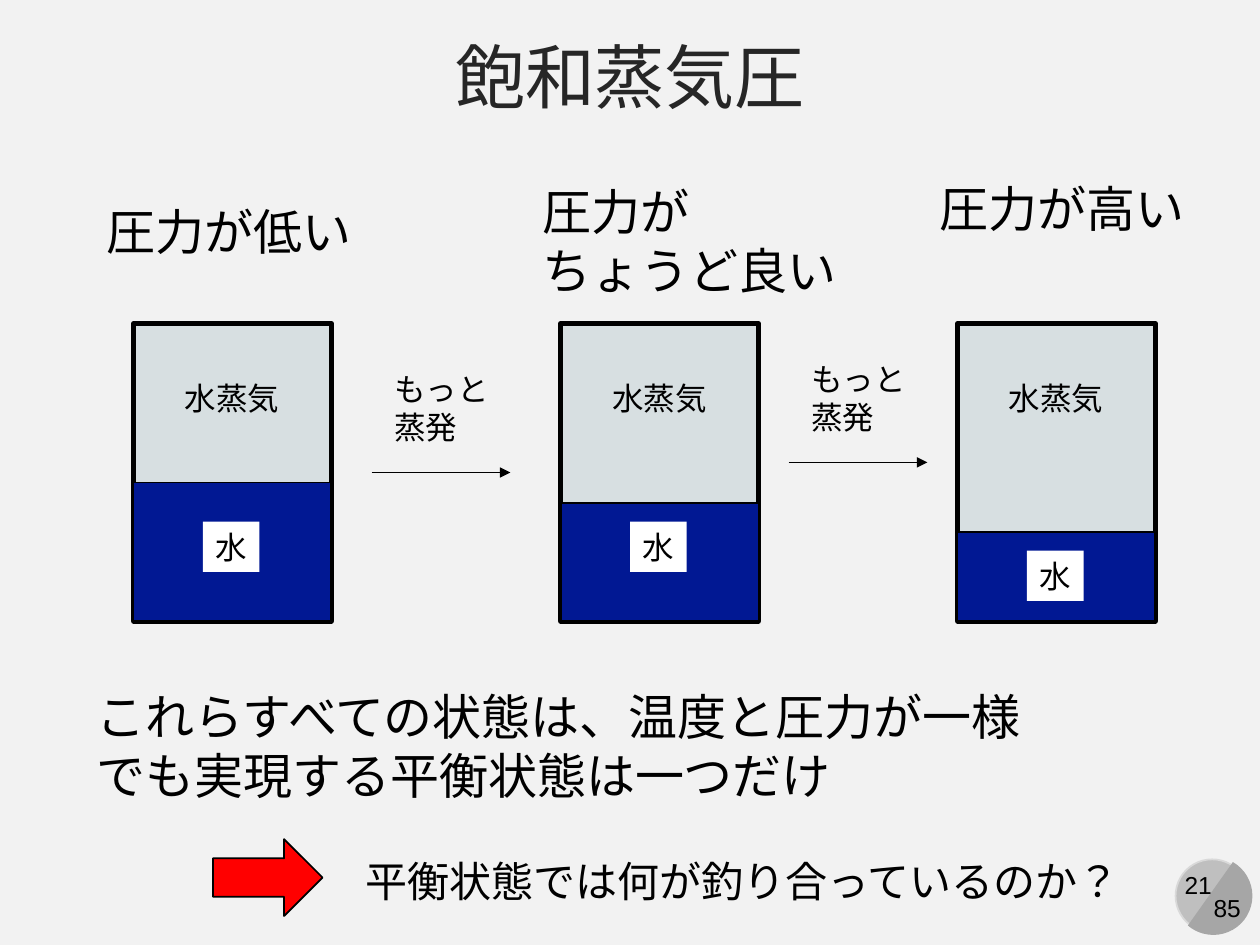
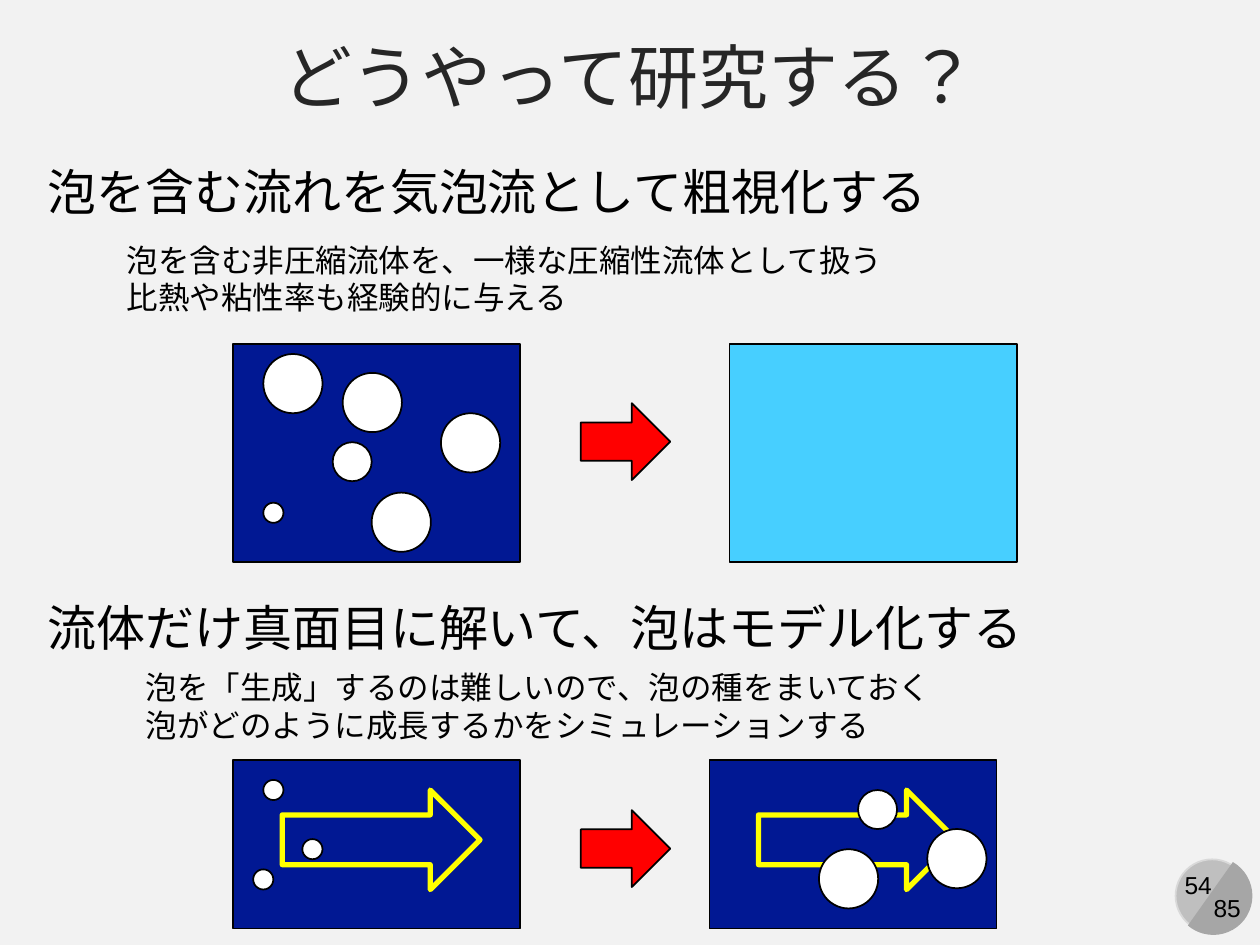
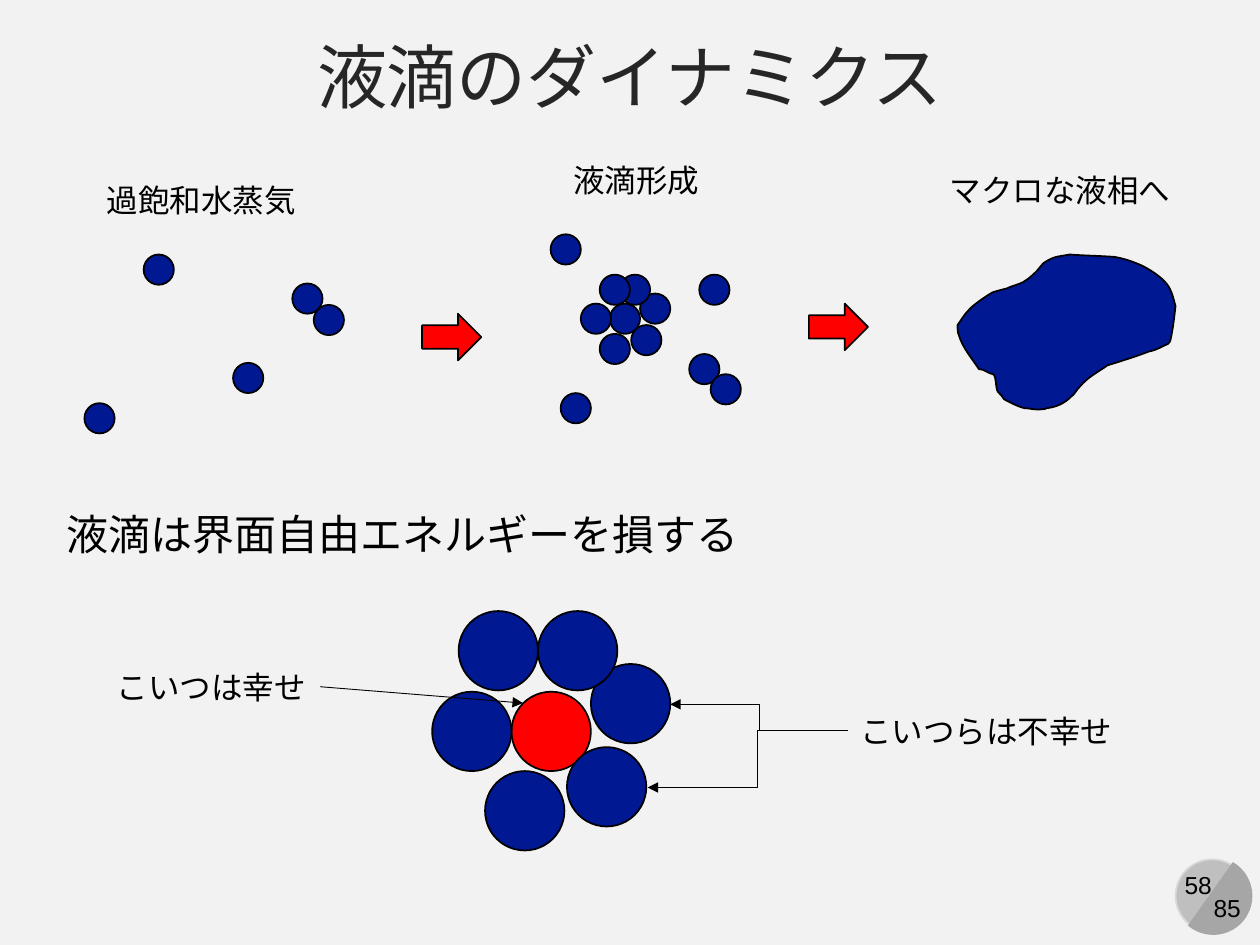
from lxml import etree
from pptx import Presentation
from pptx.dml.color import RGBColor
from pptx.enum.lang import MSO_LANGUAGE_ID
from pptx.enum.shapes import MSO_CONNECTOR, MSO_SHAPE
from pptx.enum.text import MSO_ANCHOR, MSO_AUTO_SIZE, PP_ALIGN
from pptx.oxml.ns import qn
from pptx.util import Inches, Pt

RECTANGLE = MSO_SHAPE.RECTANGLE
OVAL = MSO_SHAPE.OVAL
CHORD = MSO_SHAPE.CHORD
RIGHT_ARROW = MSO_SHAPE.RIGHT_ARROW
STRAIGHT = MSO_CONNECTOR.STRAIGHT
ELBOW = MSO_CONNECTOR.ELBOW
CENTER = PP_ALIGN.CENTER
MIDDLE = MSO_ANCHOR.MIDDLE
NO_FIT = MSO_AUTO_SIZE.NONE
FIT_SHAPE = MSO_AUTO_SIZE.SHAPE_TO_FIT_TEXT
JAPANESE = MSO_LANGUAGE_ID.JAPANESE

FONT = "Arial"
COLORS = {
    "background": "F2F2F2", "title": "262626", "black": "000000", "white": "FFFFFF",
    "water": "011893", "vapor": "D7DFE1", "mixture": "47CFFF", "red": "FF0000",
    "yellow": "FFFF00", "badge": "BFBFBF", "badge_edge": "D9D9D9", "badge_half": "A6A6A6",
}
TITLE_LAYOUT = 5
LAST_PAGE = "85"
LARGE, MEDIUM, SMALL, PAGE_SIZE = 28, 24, 18, 14

# Saturated vapor pressure: texts are (text, box, size)
PRESSURE_TITLE, PRESSURE_PAGE = "飽和蒸気圧", "21"
PRESSURE_TEXTS = [
    ("圧力が低い", (0.75, 1.55, 2.17, 0.57), LARGE),
    ("圧力が\nちょうど良い", (4.21, 1.39, 2.56, 1.04), LARGE),
    ("圧力が高い", (7.36, 1.37, 2.17, 0.57), LARGE),
    ("これらすべての状態は、温度と圧力が一様\nでも実現する平衡状態は一つだけ",
     (0.67, 5.4, 7.66, 1.04), LARGE),
    ("平衡状態では何が釣り合っているのか？", (2.8, 6.74, 6.26, 0.5), MEDIUM),
]
VESSEL_TOP, VESSEL_WIDTH, VESSEL_HEIGHT = 2.57, 1.57, 2.36
VESSELS = [(1.06, 3.83, 4.14), (4.45, 3.99, 4.14), (7.6, 4.22, 4.37)]  # left, surface, tag top
EVAPORATIONS = [(2.95, 3.75), (6.26, 3.67)]  # start of each arrow
EVAPORATION_LENGTH = 1.1
CONCLUSION_ARROW = (1.69, 6.66, 0.87, 0.61)

# How to study bubbles: bubbles are (left, top, diameter)
METHOD_TITLE, METHOD_PAGE = "どうやって研究する？", "54"
METHOD_TEXTS = [
    ("泡を含む流れを気泡流として粗視化する", (0.28, 1.23, 7.27, 0.57), LARGE),
    ("泡を含む非圧縮流体を、一様な圧縮性流体として扱う\n比熱や粘性率も経験的に与える",
     (0.91, 1.86, 6.26, 0.71), SMALL),
    ("流体だけ真面目に解いて、泡はモデル化する", (0.28, 4.69, 8.06, 0.57), LARGE),
    ("泡を「生成」するのは難しいので、泡の種をまいておく\n"
     "泡がどのように成長するかをシミュレーションする", (1.06, 5.25, 6.51, 0.71), SMALL),
]
TANKS = [
    ((1.85, 2.73, 2.28, 1.73), "water"), ((5.79, 2.73, 2.28, 1.73), "mixture"),
    ((1.85, 6.03, 2.28, 1.34), "water"), ((5.63, 6.03, 2.28, 1.34), "water"),
]
STEP_ARROWS = [(4.61, 3.2, 0.71, 0.61), (4.61, 6.43, 0.71, 0.61)]
FLOW_ARROWS = [(2.24, 6.27, 1.57, 0.79), (6.02, 6.27, 1.57, 0.79)]
SEED, GROWING, GROWN = 0.16, 0.31, 0.47
BUBBLES = [
    (2.09, 2.81, GROWN), (2.72, 2.96, GROWN), (2.64, 3.51, GROWING),
    (2.09, 3.99, SEED), (2.95, 3.91, GROWN), (3.5, 3.28, GROWN),
    (2.09, 6.19, SEED), (2.01, 6.9, SEED), (2.4, 6.66, SEED),
    (6.81, 6.27, GROWING), (6.5, 6.74, GROWN), (7.36, 6.58, GROWN),
]

# Droplet dynamics
DROPLET_TITLE, DROPLET_PAGE = "液滴のダイナミクス", "58"
DROPLET_TEXTS = [
    ("過飽和水蒸気", (0.75, 1.39, 1.72, 0.4), SMALL),
    ("液滴形成", (4.45, 1.23, 1.21, 0.4), SMALL),
    ("マクロな液相へ", (7.44, 1.31, 1.97, 0.4), SMALL),
    ("液滴は界面自由エネルギーを損する", (0.43, 3.99, 5.59, 0.5), MEDIUM),
    ("こいつは幸せ", (0.83, 5.25, 1.72, 0.4), SMALL),
    ("こいつらは不幸せ", (6.73, 5.6, 2.22, 0.4), SMALL),
]
MOLECULE, LARGE_MOLECULE = 0.24, 0.63
MOLECULES = [
    (1.14, 2.02), (0.67, 3.2), (1.85, 2.88), (2.32, 2.25), (2.49, 2.42),
    (4.84, 2.41), (5.01, 2.58), (4.76, 2.65), (5.08, 2.33), (4.92, 2.18),
    (4.76, 2.18), (4.61, 2.41), (5.55, 2.18), (5.47, 2.81), (5.64, 2.97),
    (4.37, 1.86), (4.45, 3.12),
]
GROWTH_ARROWS = [(3.35, 2.49, 0.47, 0.37), (6.42, 2.41, 0.47, 0.37)]
HAPPY_MOLECULE = (4.06, 5.49)
UNHAPPY_MOLECULES = [(4.5, 5.93), (3.85, 6.12), (4.69, 5.27),
                     (4.27, 4.85), (3.64, 4.85), (3.43, 5.49)]
UNHAPPY_LABEL_EDGE = (6.73, 5.8)
LIQUID_START = (7.77, 2.93)
LIQUID_CURVES = [  # two control points and the end of each curve
    (7.71, 2.84, 7.64, 2.76, 7.61, 2.66), (7.6, 2.64, 7.6, 2.61, 7.6, 2.58),
    (7.63, 2.54, 7.65, 2.5, 7.69, 2.46), (7.71, 2.43, 7.84, 2.34, 7.88, 2.32),
    (7.91, 2.31, 7.95, 2.3, 7.99, 2.29), (8.03, 2.27, 8.08, 2.26, 8.12, 2.24),
    (8.17, 2.21, 8.2, 2.18, 8.23, 2.15), (8.25, 2.13, 8.26, 2.11, 8.28, 2.09),
    (8.37, 2.03, 8.39, 2.04, 8.49, 2.02), (8.61, 2.03, 8.73, 2.03, 8.85, 2.04),
    (8.91, 2.05, 8.97, 2.07, 9.02, 2.09), (9.1, 2.12, 9.19, 2.18, 9.24, 2.23),
    (9.3, 2.29, 9.31, 2.36, 9.33, 2.43), (9.32, 2.52, 9.31, 2.61, 9.29, 2.7),
    (9.29, 2.71, 9.28, 2.72, 9.27, 2.73), (9.22, 2.75, 9.18, 2.78, 9.12, 2.79),
    (9.02, 2.83, 8.79, 2.9, 8.79, 2.9), (8.69, 2.97, 8.64, 2.99, 8.57, 3.07),
    (8.54, 3.1, 8.53, 3.13, 8.5, 3.15), (8.45, 3.2, 8.39, 3.23, 8.31, 3.24),
    (8.29, 3.25, 8.26, 3.25, 8.23, 3.25), (8.2, 3.25, 8.16, 3.24, 8.13, 3.24),
    (8.06, 3.22, 8.03, 3.2, 7.97, 3.17), (7.96, 3.15, 7.94, 3.13, 7.92, 3.11),
    (7.9, 3.08, 7.91, 2.98, 7.88, 2.97), (7.87, 2.97, 7.85, 2.96, 7.83, 2.95),
    (7.78, 2.92, 7.78, 2.94, 7.77, 2.93),
]


def rgb(name):
    """Return the named colour."""
    return RGBColor.from_string(COLORS[name])


def paint(shape, fill=None, line="black", width=1):
    """Set fill and outline, and drop the shadow."""
    shape.shadow.inherit = False
    if fill:
        shape.fill.solid()
        shape.fill.fore_color.rgb = rgb(fill)
    else:
        shape.fill.background()
    if line:
        shape.line.color.rgb = rgb(line)
        shape.line.width = Pt(width)
    else:
        shape.line.fill.background()
    return shape


def add_shape(shapes, kind, box, fill=None, line="black", width=1):
    """Add a painted preset shape."""
    return paint(shapes.add_shape(kind, *map(Inches, box)), fill, line, width)


def add_circle(shapes, left, top, diameter, fill):
    """Add an outlined circle."""
    return add_shape(shapes, OVAL, (left, top, diameter, diameter), fill)


def format_text(text_frame, size, color, alignment=None):
    """Format every paragraph and run of a text frame."""
    for paragraph in text_frame.paragraphs:
        paragraph.alignment = alignment
        for run in paragraph.runs:
            run.font.name = FONT
            run.font.size = Pt(size)
            run.font.color.rgb = rgb(color)
            run.font.language_id = JAPANESE


def add_text(slide, text, box, size, alignment=None):
    """Add an unwrapped text box, one paragraph per line."""
    text_box = slide.shapes.add_textbox(*map(Inches, box))
    text_frame = text_box.text_frame
    text_frame.text = text
    text_frame.word_wrap = False
    text_frame.auto_size = FIT_SHAPE
    format_text(text_frame, size, "black", alignment)
    return text_box


def add_arrow(slide, start, end, kind=STRAIGHT, bend=None):
    """Add a thin connector with an arrowhead, bent at a share of its width."""
    connector = slide.shapes.add_connector(kind, *map(Inches, start + end))
    connector.line.color.rgb = rgb("black")
    connector.line.width = Pt(0.5)
    properties = connector.element.spPr
    etree.SubElement(properties.find(qn("a:ln")), qn("a:tailEnd"), type="triangle")
    etree.SubElement(properties, qn("a:effectLst"))
    if bend is not None:
        adjustments = properties.find(qn("a:prstGeom")).find(qn("a:avLst"))
        etree.SubElement(adjustments, qn("a:gd"), name="adj1",
                         fmla=f"val {round(bend * 100000)}")


def add_liquid(slide):
    """Add the outline of the liquid and turn its line segments into curves."""
    builder = slide.shapes.build_freeform(*map(Inches, LIQUID_START))
    builder.add_line_segments([tuple(map(Inches, curve[4:])) for curve in LIQUID_CURVES])
    liquid = paint(builder.convert_to_shape(), "water")
    segments = liquid.element.xpath(".//a:lnTo")
    for segment, (x1, y1, x2, y2, _, _) in zip(segments, LIQUID_CURVES):
        curve = etree.Element(qn("a:cubicBezTo"))
        for x, y in ((x1, y1), (x2, y2)):
            etree.SubElement(curve, qn("a:pt"), x=str(Inches(x) - liquid.left),
                             y=str(Inches(y) - liquid.top))
        curve.append(segment[0])
        segment.getparent().replace(segment, curve)


def move_badge_to_layout(slide, layout):
    """Build the page badge and put it on the shared layout."""
    disc = add_shape(slide.shapes, OVAL, (9.33, 6.82, 0.58, 0.58), "badge", "badge_edge")
    half = add_shape(slide.shapes, CHORD, (9.32, 6.8, 0.62, 0.62), "badge_half", None)
    half.rotation = 255
    half.adjustments[0] = 27
    half.adjustments[1] = 141.42
    total = add_text(slide, LAST_PAGE, (9.53, 7.04, 0.42, 0.34), PAGE_SIZE, CENTER)
    for number, shape in enumerate((disc, half, total), start=100):
        shape.element.xpath(".//p:cNvPr")[0].set("id", str(number))
        layout.shapes.element.append(shape.element)


def start_slide(presentation, title, page, texts):
    """Add a slide with its title, page number and texts."""
    slide = presentation.slides.add_slide(presentation.slide_layouts[TITLE_LAYOUT])
    text_frame = slide.shapes.title.text_frame
    text_frame.text = title
    text_frame.vertical_anchor = MIDDLE
    text_frame.margin_top = Inches(0.01)
    text_frame.auto_size = NO_FIT
    format_text(text_frame, 40, "title", CENTER)
    text_frame.paragraphs[0].space_before = Pt(10)
    add_text(slide, page, (9.29, 6.86, 0.44, 0.34), PAGE_SIZE, CENTER)
    for text, box, size in texts:
        add_text(slide, text, box, size)
    return slide


def build_pressure_slide(presentation):
    """Three vessels with falling water levels."""
    slide = start_slide(presentation, PRESSURE_TITLE, PRESSURE_PAGE, PRESSURE_TEXTS)
    bottom = VESSEL_TOP + VESSEL_HEIGHT
    for left, surface, tag_top in VESSELS:
        for top, end, fill, width in ((VESSEL_TOP, surface, "vapor", 1),
                                      (VESSEL_TOP, bottom, None, 3),
                                      (surface, bottom, "water", 1)):
            add_shape(slide.shapes, RECTANGLE, (left, top, VESSEL_WIDTH, end - top),
                      fill, width=width)
        tag = add_text(slide, "水", (left + 0.55, tag_top, 0.45, 0.4), SMALL)
        tag.fill.solid()
        tag.fill.fore_color.rgb = rgb("white")
        add_text(slide, "水蒸気", (left + 0.31, 2.96, 0.96, 0.4), SMALL)
    for x, y in EVAPORATIONS:
        add_arrow(slide, (x, y), (x + EVAPORATION_LENGTH, y))
        add_text(slide, "もっと\n蒸発", (x + 0.08, y - 0.86, 0.96, 0.71), SMALL)
    add_shape(slide.shapes, RIGHT_ARROW, CONCLUSION_ARROW, "red")
    return slide


def build_method_slide(presentation):
    """Two ways to model a bubbly flow."""
    slide = start_slide(presentation, METHOD_TITLE, METHOD_PAGE, METHOD_TEXTS)
    for box, fill in TANKS:
        add_shape(slide.shapes, RECTANGLE, box, fill)
    for box in STEP_ARROWS:
        add_shape(slide.shapes, RIGHT_ARROW, box, "red")
    for box in FLOW_ARROWS:
        add_shape(slide.shapes, RIGHT_ARROW, box, None, "yellow", 3)
    for left, top, diameter in BUBBLES:
        add_circle(slide.shapes, left, top, diameter, "white")


def build_droplet_slide(presentation):
    """From vapor to liquid, and the molecules of one droplet."""
    slide = start_slide(presentation, DROPLET_TITLE, DROPLET_PAGE, DROPLET_TEXTS)
    for left, top in MOLECULES:
        add_circle(slide.shapes, left, top, MOLECULE, "water")
    for box in GROWTH_ARROWS:
        add_shape(slide.shapes, RIGHT_ARROW, box, "red")
    add_liquid(slide)
    droplet = slide.shapes.add_group_shape()
    add_circle(droplet.shapes, *HAPPY_MOLECULE, LARGE_MOLECULE, "red")
    for left, top in UNHAPPY_MOLECULES:
        add_circle(droplet.shapes, left, top, LARGE_MOLECULE, "water")
    add_arrow(slide, (2.54, 5.45), (4.15, 5.58))
    add_arrow(slide, UNHAPPY_LABEL_EDGE, (5.14, 6.25), ELBOW, 0.45)
    add_arrow(slide, UNHAPPY_LABEL_EDGE, (5.32, 5.59), ELBOW, 0.5)


def main():
    """Set up the shared look, build the slides and save."""
    presentation = Presentation()
    presentation.slide_width, presentation.slide_height = Inches(10), Inches(7.5)
    background = presentation.slide_master.background.fill
    background.solid()
    background.fore_color.rgb = rgb("background")
    layout = presentation.slide_layouts[TITLE_LAYOUT]
    title = layout.placeholders[0]
    title.left, title.top, title.width, title.height = map(Inches, (0, 0.21, 10, 0.82))
    first_slide = build_pressure_slide(presentation)
    move_badge_to_layout(first_slide, layout)
    build_method_slide(presentation)
    build_droplet_slide(presentation)
    presentation.save("out.pptx")


main()
